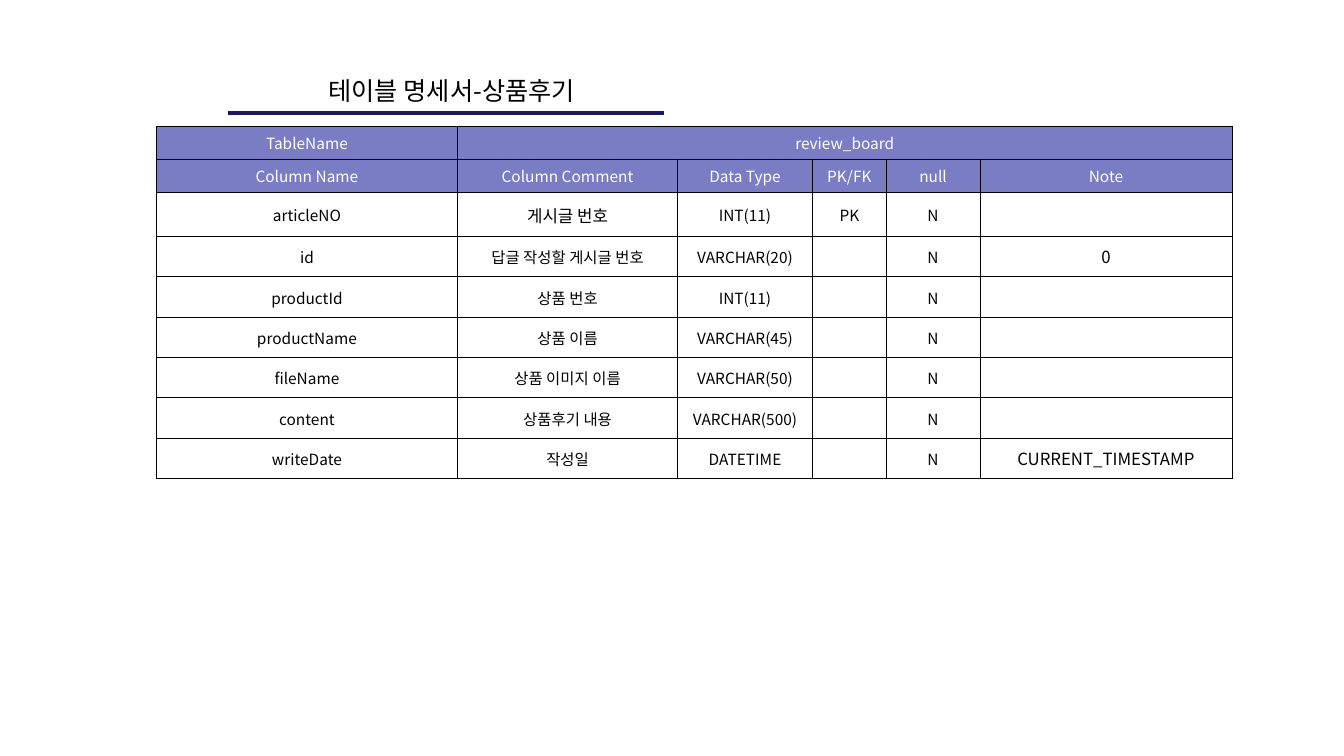
"""Build the table specification slide for product reviews."""
from lxml import etree
from pptx import Presentation
from pptx.dml.color import RGBColor
from pptx.enum.shapes import MSO_CONNECTOR
from pptx.enum.text import MSO_ANCHOR, PP_ALIGN
from pptx.oxml.ns import qn
from pptx.util import Inches, Pt

CENTER = PP_ALIGN.CENTER
MIDDLE = MSO_ANCHOR.MIDDLE
STRAIGHT = MSO_CONNECTOR.STRAIGHT
FONT = "Noto Sans CJK KR"
COLORS = {"header": "7A7CC4", "rule": "1B1760", "white": "FFFFFF", "black": "000000"}

COLUMNS = [2.99, 2.18, 1.34, 0.73, 0.93, 2.5]
HEIGHTS = [0.29] * 2 + [0.44] + [0.4] * 6
HEADER_ROWS = 2
ROWS = [
    ["TableName", "review_board", "", "", "", ""],
    ["Column Name", "Column Comment", "Data Type", "PK/FK", "null", "Note"],
    ["articleNO", "게시글 번호", "INT(11)", "PK", "N", ""],
    ["id", "답글 작성할 게시글 번호", "VARCHAR(20)", "", "N", "0"],
    ["productId", "상품 번호", "INT(11)", "", "N", ""],
    ["productName", "상품 이름", "VARCHAR(45)", "", "N", ""],
    ["fileName", "상품 이미지 이름", "VARCHAR(50)", "", "N", ""],
    ["content", "상품후기 내용", "VARCHAR(500)", "", "N", ""],
    ["writeDate", "작성일", "DATETIME", "", "N", "CURRENT_TIMESTAMP"],
]
LARGE_TEXT = {"게시글 번호", "0", "CURRENT_TIMESTAMP"}


def put_text(tf, text, size=11, color="black", spacing=1.03):
    p = tf.paragraphs[0]
    p.alignment = CENTER
    p.line_spacing = spacing
    if not text:
        etree.SubElement(p._p, qn("a:endParaRPr"), sz=str(size * 100))
        return
    r = p.add_run()
    r.text = text
    r.font.size = Pt(size)
    r.font.name = FONT
    r.font.color.rgb = RGBColor.from_string(COLORS[color])
    etree.SubElement(r._r.get_or_add_rPr(), qn("a:ea"), typeface=FONT)


def add_borders(cell):
    tcPr = cell._tc.get_or_add_tcPr()
    for i, side in enumerate(("lnL", "lnR", "lnT", "lnB")):
        ln = etree.Element(qn(f"a:{side}"), w=str(Pt(0.6)))
        fill = etree.SubElement(ln, qn("a:solidFill"))
        etree.SubElement(fill, qn("a:srgbClr"), val=COLORS["black"])
        tcPr.insert(i, ln)


prs = Presentation()
prs.slide_width, prs.slide_height = Inches(13.33), Inches(7.5)
s = prs.slides.add_slide(prs.slide_layouts[5])

title = s.shapes.title
title.left, title.top = Inches(2.29), Inches(0.7)
title.width, title.height = Inches(4.38), Inches(0.39)
title.text_frame.vertical_anchor = MIDDLE
put_text(title.text_frame, "테이블 명세서-상품후기", size=18, spacing=1.0)

frame = s.shapes.add_table(
    len(ROWS), len(COLUMNS), Inches(1.55), Inches(1.25),
    Inches(sum(COLUMNS)), Inches(sum(HEIGHTS)))
table = frame.table
table.first_row = False
table.horz_banding = False
for column, width in zip(table.columns, COLUMNS):
    column.width = Inches(width)
for row, height in zip(table.rows, HEIGHTS):
    row.height = Inches(height)
table.cell(0, 1).merge(table.cell(0, len(COLUMNS) - 1))

for i, values in enumerate(ROWS):
    is_header = i < HEADER_ROWS
    for j, text in enumerate(values):
        cell = table.cell(i, j)
        cell.vertical_anchor = MIDDLE
        if is_header:
            cell.fill.solid()
            cell.fill.fore_color.rgb = RGBColor.from_string(COLORS["header"])
        else:
            cell.fill.background()
        add_borders(cell)
        put_text(cell.text_frame, text, size=12 if text in LARGE_TEXT else 11,
                 color="white" if is_header else "black",
                 spacing=1.0 if text == "0" else 1.03)

rule = s.shapes.add_connector(
    STRAIGHT, Inches(2.26), Inches(1.12), Inches(6.59), Inches(1.12))
rule.line.width = Pt(3)
rule.line.color.rgb = RGBColor.from_string(COLORS["rule"])
etree.SubElement(rule._element.spPr, qn("a:effectLst"))

prs.save("out.pptx")
